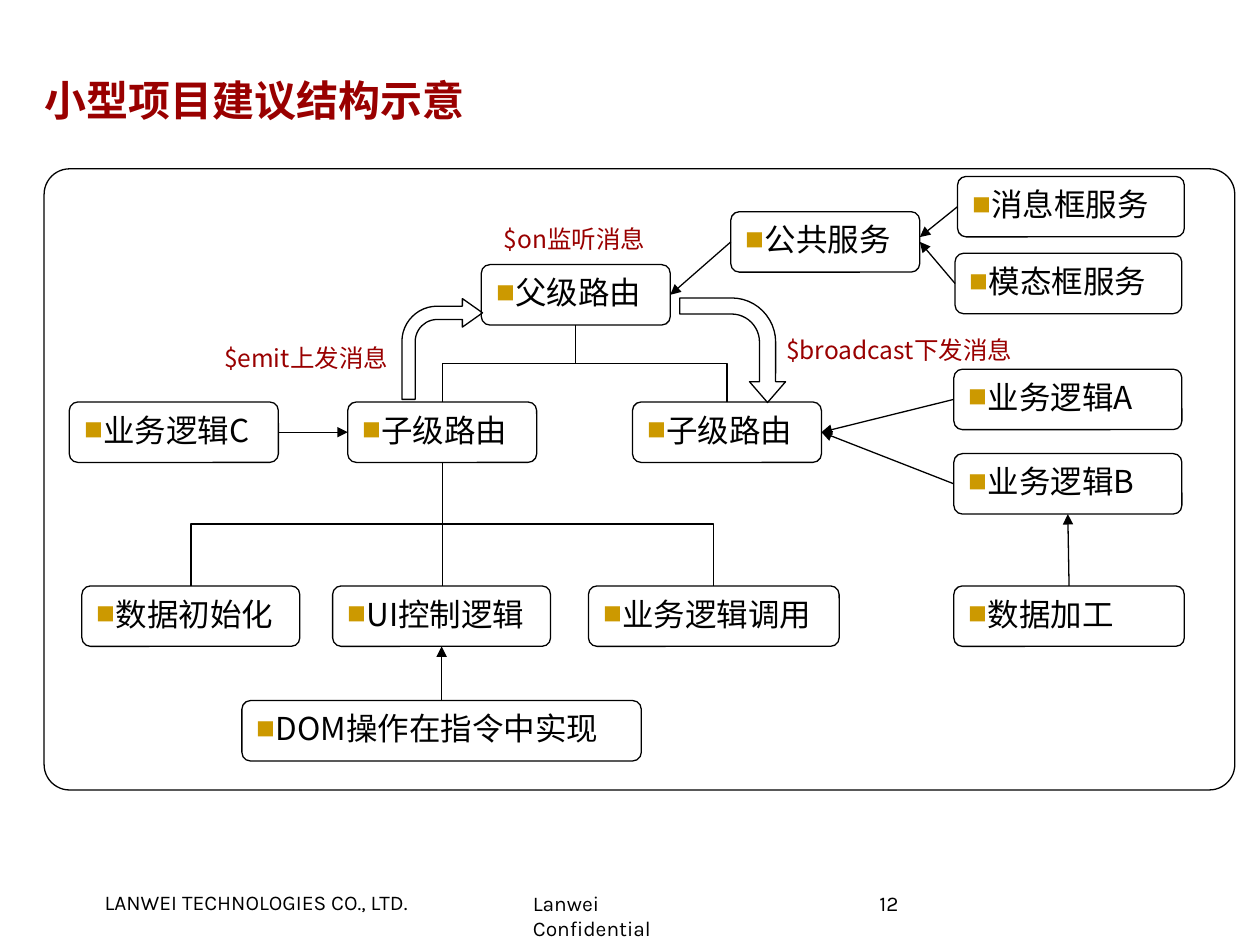
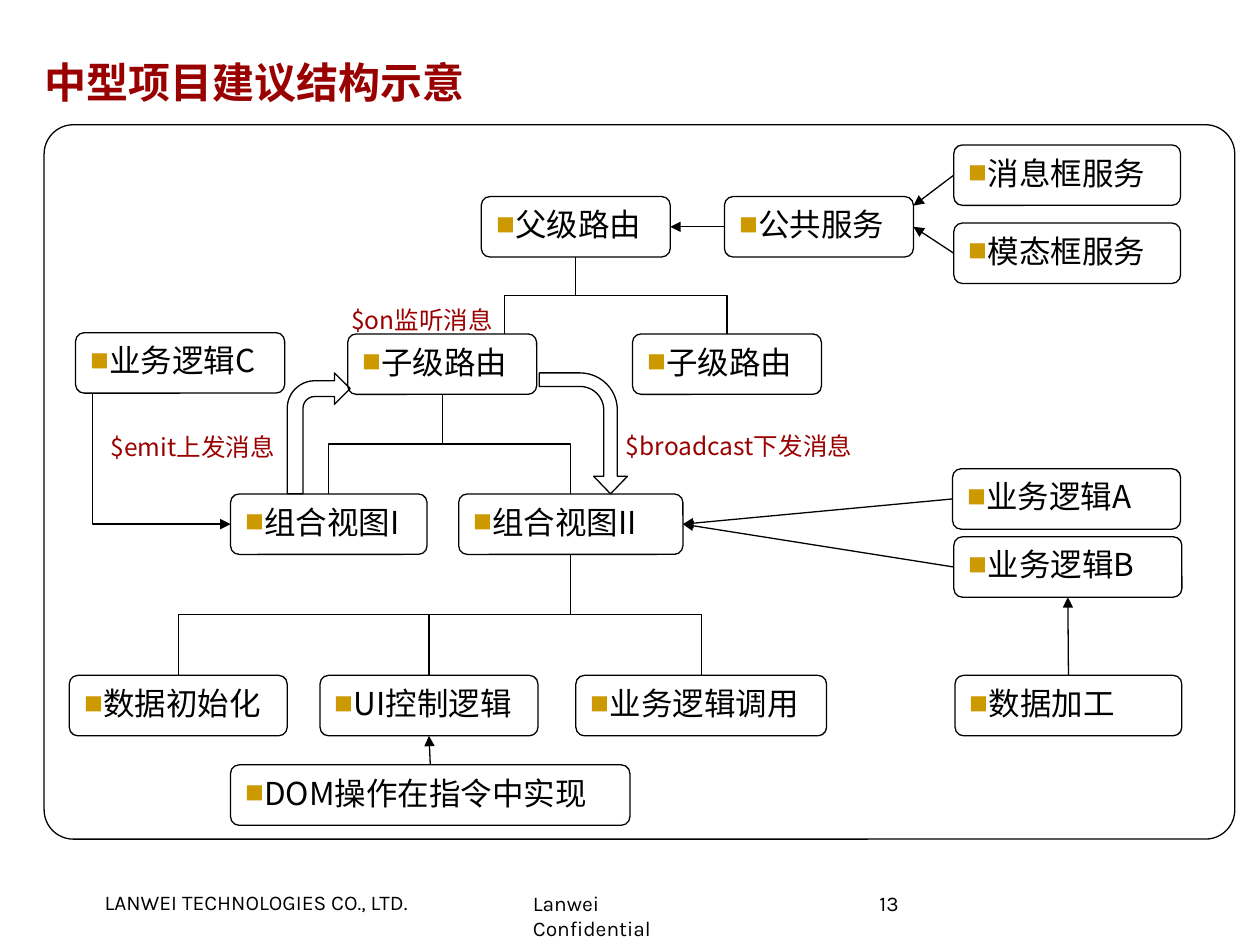
from pptx import Presentation, util as u
from pptx.dml.color import RGBColor
from pptx.enum import shapes, text
from pptx.oxml.ns import qn
from lxml import etree

BLACK = RGBColor(0x00, 0x00, 0x00)
RED = RGBColor(0x99, 0x00, 0x00)
GOLD = RGBColor(0xCC, 0x99, 0x00)
CJK, LATIN = "Noto Sans CJK SC", "Karla"
COLS, ROWS = 100, 75
NODE_H = 4.8
ROUTE_W, SERVICE_W, LOGIC_W = 15, 18, 18.1


def child(parent, tag, **attrs):
    return etree.SubElement(parent, qn(tag), attrs)


class Deck:
    """Style and current slide; places are columns and rows of a 100 x 75 grid."""

    def __init__(self):
        self.prs = Presentation()
        self.prs.slide_width, self.prs.slide_height = u.Inches(10), u.Inches(7.5)
        self.col = self.prs.slide_width / COLS
        self.row = self.prs.slide_height / ROWS

    def place(self, *cells):
        return [round(c * (self.row if i % 2 else self.col)) for i, c in enumerate(cells)]

    def start(self, title, title_at, panel_at, number):
        self.s = self.prs.slides.add_slide(self.prs.slide_layouts[6])
        # Footer
        self.textbox("LANWEI TECHNOLOGIES CO., LTD.", (8.3, 70.6, 29, 2), 12, font=LATIN, inset=0)
        self.textbox("Lanwei Confidential", (42.3, 70.7, 12, 4), 12, font=LATIN, inset=0)
        tf = self.textbox(str(number), (69.8, 71, 19.3, 4), 12, font=LATIN, inset=0)
        tf.paragraphs[0].line_spacing = 0.85
        # Title and panel
        tf = self.textbox(title, title_at, 24, RED, bold=True, inset=0)
        tf.vertical_anchor = text.MSO_ANCHOR.MIDDLE
        self.shape(shapes.MSO_SHAPE.ROUNDED_RECTANGLE, panel_at, [0.041])

    def style(self, tf, words, size, color, font=CJK, bold=False):
        tf.word_wrap = True
        p = tf.paragraphs[0]
        p.text = words
        p.alignment = text.PP_ALIGN.LEFT
        r = p.runs[0]
        r.font.size, r.font.bold, r.font.name = u.Pt(size), bold, font
        r.font.color.rgb = color
        child(r._r.get_or_add_rPr(), "a:ea", typeface=font)
        return p

    def textbox(self, words, at, size, color=BLACK, font=CJK, bold=False, inset=None):
        tf = self.s.shapes.add_textbox(*self.place(*at)).text_frame
        if inset is not None:
            tf.margin_left = tf.margin_right = tf.margin_top = tf.margin_bottom = inset
        self.style(tf, words, size, color, font, bold)
        return tf

    def label(self, words, left, top, width=16.7):
        self.textbox(words, (left, top, width, 3.4), 14, RED)

    def outline(self, sp):
        sp.line.color.rgb = BLACK
        sp.line.width = u.Pt(0.75)

    def shape(self, kind, at, adjust=(), turn=0):
        sp = self.s.shapes.add_shape(kind, *self.place(*at))
        sp.shadow.inherit = False
        sp.fill.background()
        self.outline(sp)
        for i, value in enumerate(adjust):
            sp.adjustments[i] = value
        sp.rotation = turn
        return sp

    def node(self, words, left, top, width):
        sp = self.shape(shapes.MSO_SHAPE.ROUNDED_RECTANGLE, (left, top, width, NODE_H), [0.143])
        tf = sp.text_frame
        tf.vertical_anchor = text.MSO_ANCHOR.TOP
        pPr = self.style(tf, words, 18, BLACK)._p.get_or_add_pPr()
        pPr.set("marL", "0")
        pPr.set("indent", "0")
        child(child(pPr, "a:buClr"), "a:srgbClr", val=str(GOLD))
        child(pPr, "a:buSzPct", val="60000")
        child(pPr, "a:buFont", typeface=CJK)
        child(pPr, "a:buChar", char="■")
        return sp

    def bent_arrow(self, at, adjust=(), turn=0):
        self.shape(shapes.MSO_SHAPE.BENT_ARROW, at, adjust, turn)

    def edge(self, sp, side, share=0.5):
        """Point on one side of a node, a share of the way along it."""
        x, y, w, h = sp.left, sp.top, sp.width, sp.height
        x, y = {"top": (x + w * share, y), "bottom": (x + w * share, y + h),
                "left": (x, y + h * share), "right": (x + w, y + h * share)}[side]
        return x / self.col, y / self.row

    def line(self, start, end, kind=shapes.MSO_CONNECTOR.STRAIGHT, head=False):
        sp = self.s.shapes.add_connector(kind, *self.place(*start, *end))
        self.outline(sp)
        spPr = sp._element.spPr
        if head:
            child(spPr.find(qn("a:ln")), "a:tailEnd", type="triangle")
        child(spPr, "a:effectLst")
        return sp

    def arrow(self, source, out, target, into, share=0.5):
        self.line(self.edge(source, out), self.edge(target, into, share), head=True)

    def branch(self, parent, node, share=0.5):
        """Elbow from under the parent to the top of a node: a turned connector."""
        (x1, y1), (x2, y2) = self.edge(parent, "bottom"), self.edge(node, "top", share)
        if abs(x1 - x2) < 0.2:
            self.line((x1, y1), (x1, y2))
            return
        mx, my, w, h = (x1 + x2) / 2, (y1 + y2) / 2, (y2 - y1) / 2, abs(x2 - x1) / 2
        if x2 > x1:
            w = -w
        sp = self.line((mx - w, my - h), (mx + w, my + h), shapes.MSO_CONNECTOR.ELBOW)
        turn = 270 if x2 > x1 else 90
        sp._element.spPr.find(qn("a:xfrm")).set("rot", str(turn * 60000))

    def down_then_right(self, start, end):
        sp = self.line(start, end, shapes.MSO_CONNECTOR.ELBOW, head=True)
        geom = sp._element.spPr.find(qn("a:prstGeom"))
        guides = geom.find(qn("a:avLst"))
        if guides is None:
            guides = child(geom, "a:avLst")
        child(guides, "a:gd", name="adj1", fmla="val 0")

    # Groups that both structures have
    def routes(self, parent_top, child_top, first_share=0.5):
        parent = self.node("父级路由", 38.2, parent_top, ROUTE_W)
        children = [self.node("子级路由", left, child_top, ROUTE_W) for left in (27.6, 50.2)]
        for node, share in zip(children, (first_share, 0.5)):
            self.branch(parent, node, share)
        return parent, *children

    def services(self, parent, public_at, message_at, modal_at, message_share):
        public = self.node("公共服务", *public_at, ROUTE_W)
        message = self.node("消息框服务", *message_at, SERVICE_W)
        modal = self.node("模态框服务", *modal_at, SERVICE_W)
        self.arrow(message, "left", public, "right", message_share)
        self.arrow(modal, "left", public, "right")
        self.arrow(public, "left", parent, "right")

    def logic(self, target, a_at, b_at, data_at, data_width):
        a, b = (self.node("业务逻辑" + name, *at, LOGIC_W) for name, at in (("A", a_at), ("B", b_at)))
        data = self.node("数据加工", *data_at, data_width)
        for node in (a, b):
            self.arrow(node, "left", target, "right")
        self.arrow(data, "top", b, "bottom")

    def duties(self, parent, left, top, dom_at):
        steps = (("数据初始化", 0, 17.3), ("UI控制逻辑", 19.9, 17.3), ("业务逻辑调用", 40.2, 19.9))
        nodes = [self.node(words, left + shift, top, width) for words, shift, width in steps]
        for node in nodes:
            self.branch(parent, node)
        dom = self.node("DOM操作在指令中实现", *dom_at, 31.7)
        self.arrow(dom, "top", nodes[1], "bottom")


def small_project(d):
    d.start("小型项目建议结构示意", (3.5, 4.1, 83.5, 7.7), (3.5, 13.4, 94.5, 49.3), 12)
    parent, left_child, right_child = d.routes(21, 31.9)
    d.services(parent, (58, 16.8), (76, 14), (75.8, 20.1), 0.42)
    d.logic(right_child, (75.7, 29.3), (75.7, 36), (75.7, 46.5), 18.3)
    logic_c = d.node("业务逻辑C", 5.5, 31.9, 16.6)
    d.arrow(logic_c, "right", left_child, "left")
    d.duties(left_child, 6.5, 46.5, (19.2, 55.6))
    # Messages
    d.label("$on监听消息", 39, 17.3)
    d.label("$emit上发消息", 16.8, 26.7)
    d.label("$broadcast下发消息", 61.4, 26.1, 22.5)
    d.bent_arrow((31.9, 23.7, 6.4, 8), (0.165, 0.177, 0.25, 0.438))
    d.bent_arrow((54, 23.6, 8.3, 8.4), (0.154, 0.173, 0.199, 0.422), 90)


def medium_project(d):
    d.start("中型项目建议结构示意", (3.5, 3.3, 83.5, 6.3), (3.5, 9.9, 94.5, 56.7), 13)
    parent, left_child, _ = d.routes(15.6, 26.5, 0.83)
    d.services(parent, (57.5, 15.6), (75.7, 11.5), (75.7, 17.7), 0.15)
    # Combined views
    view_1 = d.node("组合视图I", 18.3, 39.2, 15.6)
    view_2 = d.node("组合视图II", 36.4, 39.2, 17.8)
    for view in (view_1, view_2):
        d.branch(left_child, view)
    d.logic(view_2, (75.6, 37.2), (75.7, 42.6), (75.8, 53.6), 18)
    logic_c = d.node("业务逻辑C", 6, 26.4, 16.6)
    d.down_then_right(d.edge(logic_c, "bottom", 0.08), d.edge(view_1, "left"))
    d.duties(view_2, 5.5, 53.6, (18.3, 60.7))
    # Messages
    d.label("$on监听消息", 26.9, 23.7)
    d.label("$emit上发消息", 7.8, 33.8)
    d.label("$broadcast下发消息", 48.7, 33.7, 22.4)
    d.bent_arrow((22.8, 29.6, 5, 9.6))
    d.bent_arrow((41.5, 30.9, 9.6, 7), (0.154, 0.192, 0.199, 0.422), 90)


def main():
    d = Deck()
    small_project(d)
    medium_project(d)
    d.prs.save("out.pptx")


if __name__ == "__main__":
    main()
